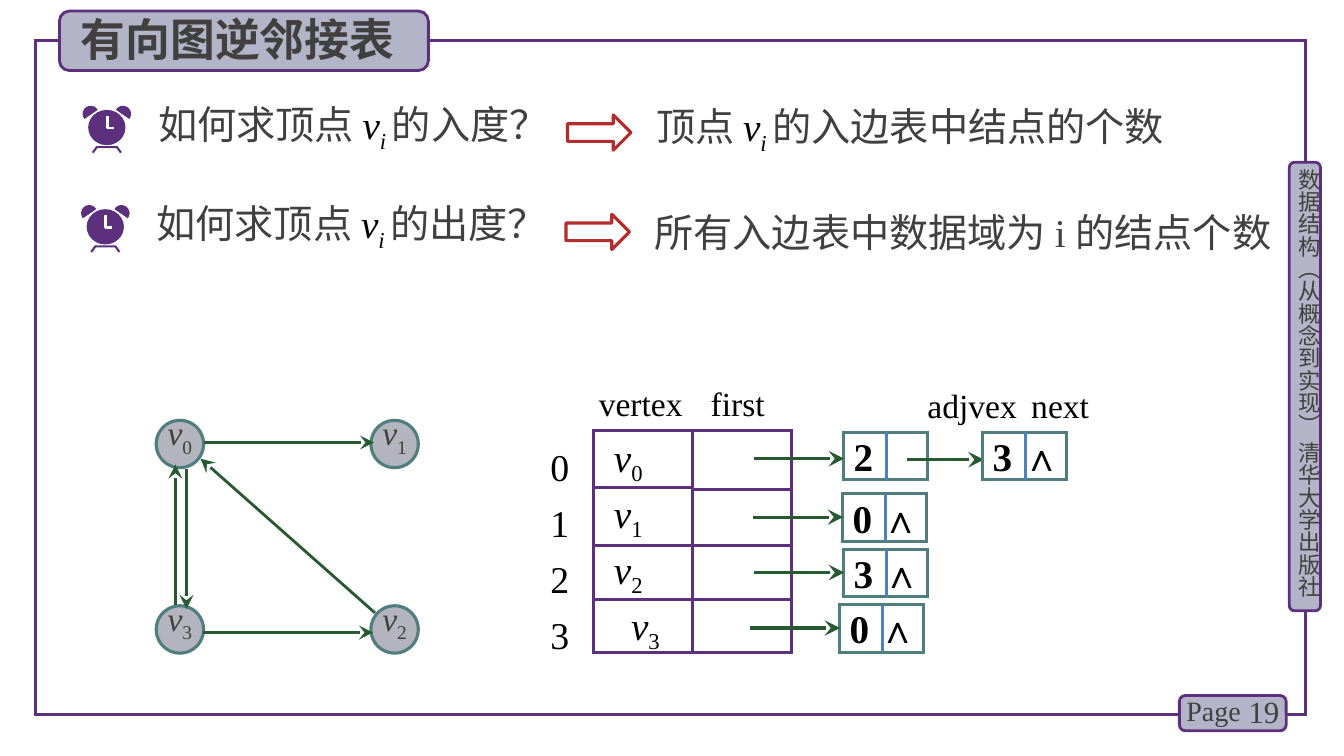
import math

import lxml.etree
import pptx
import pptx.dml.color
import pptx.enum.shapes
import pptx.enum.text
import pptx.oxml.ns
import pptx.util

COLOURS = {
    "purple": "5C307D", "lilac": "B4B4C8", "node": "B4B4BE", "teal": "507D7D",
    "green": "285A32", "blue": "4F81BD", "red": "B42D2D", "ink": "404040",
    "black": "000000", "white": "FFFFFF",
}
SERIF, SANS = "Times New Roman", "Noto Sans CJK SC"
CELL = 0.1  # inches: one grid column or row
KINDS = pptx.enum.shapes.MSO_SHAPE
ALIGN = pptx.enum.text.PP_ALIGN
ANCHOR = pptx.enum.text.MSO_ANCHOR
WIDE_INSETS = (1, 0.5, 1, 0.5)
NO_INSETS = (0, 0, 0, 0)


def cells(*counts):
    return [pptx.util.Inches(count * CELL) for count in counts]


def rgb(name):
    return pptx.dml.color.RGBColor.from_string(COLOURS[name])


def add_xml(parent, tag, **attributes):
    return lxml.etree.SubElement(parent, pptx.oxml.ns.qn(tag), attributes)


def vertex(label, colour="black"):
    """Return the spans of an italic v with a lowered label."""
    return [("v", {"italic": True, "colour": colour}),
            (label, {"italic": label.startswith("i"), "lowered": True, "colour": colour})]


def write(frame, paras, size=28, font=SERIF, colour="black", bold=False,
          align=ALIGN.LEFT, leading=None, last_indent=0):
    """Fill a text frame; each paragraph is a string or a list of (text, format) spans."""
    for position, spans in enumerate(paras):
        para = frame.paragraphs[0] if position == 0 else frame.add_paragraph()
        para.alignment = align
        if leading:
            para.line_spacing = pptx.util.Pt(leading)
        for text, look in [(spans, {})] if isinstance(spans, str) else spans:
            span = para.add_run()
            span.text = text
            span.font.size = pptx.util.Pt(size)
            span.font.name = font
            span.font.bold = bold
            span.font.italic = look.get("italic", False)
            span.font.color.rgb = rgb(look.get("colour", colour))
            properties = span._r.get_or_add_rPr()
            add_xml(properties, "a:ea", typeface=SANS)
            if look.get("lowered"):
                properties.set("baseline", "-25000")
    if last_indent:
        para._p.get_or_add_pPr().set("marL", str(cells(last_indent)[0]))


class Page:
    """Holds the line style and the current slide."""

    def __init__(self, deck):
        self.slide = deck.slides.add_slide(deck.slide_layouts[5])
        self.shapes = self.slide.shapes
        self.weight = 2.25

    def paint(self, shape, fill, line, weight=None):
        shape.shadow.inherit = False
        if fill:
            shape.fill.solid()
            shape.fill.fore_color.rgb = rgb(fill)
        else:
            shape.fill.background()
        if line:
            shape.line.color.rgb = rgb(line)
            shape.line.width = pptx.util.Pt(weight or self.weight)
        else:
            shape.line.fill.background()

    def prepare(self, frame, insets, anchor=ANCHOR.TOP):
        frame.word_wrap = True
        frame.auto_size = pptx.enum.text.MSO_AUTO_SIZE.NONE
        frame.vertical_anchor = anchor
        (frame.margin_left, frame.margin_top,
         frame.margin_right, frame.margin_bottom) = cells(*insets)

    def shape(self, kind, at, fill=None, line=None, weight=None, paras=(),
              insets=NO_INSETS, **look):
        shape = self.shapes.add_shape(kind, *cells(*at))
        self.paint(shape, fill, line, weight)
        if kind == KINDS.RECTANGLE:
            add_xml(shape.line._get_or_add_ln(), "a:miter", lim="800000")
        if paras:
            self.prepare(shape.text_frame, insets)
            write(shape.text_frame, paras, **look)

    def text(self, at, paras, insets=WIDE_INSETS, anchor=ANCHOR.TOP, vertical=False, **look):
        frame = self.shapes.add_textbox(*cells(*at)).text_frame
        self.prepare(frame, insets, anchor)
        if vertical:
            frame._txBody.bodyPr.set("vert", "eaVert")
        write(frame, paras, **look)

    def title(self, at, text, **look):
        box = self.shapes.title
        box.left, box.top, box.width, box.height = cells(*at)
        self.prepare(box.text_frame, WIDE_INSETS)
        write(box.text_frame, [text], **look)
        box.element.getparent().append(box.element)

    def line(self, start, end, colour, weight=None, arrow=False):
        line = self.shapes.add_connector(
            pptx.enum.shapes.MSO_CONNECTOR.STRAIGHT, *cells(*start, *end))
        line.line.color.rgb = rgb(colour)
        line.line.width = pptx.util.Pt(weight or self.weight)
        if arrow:
            add_xml(line.line._get_or_add_ln(), "a:tailEnd", type="stealth", w="lg", len="lg")
        add_xml(line._element.spPr, "a:effectLst")

    def outline(self, points, fill=None, line=None, weight=None):
        """Draw a filled polygon, or an open path when there is no fill."""
        start, *others = [cells(*point) for point in points]
        builder = self.shapes.build_freeform(*start)
        builder.add_line_segments(others, close=bool(fill))
        self.paint(builder.convert_to_shape(), fill, line, weight)

    def clock(self, x, y):
        """Draw an alarm clock whose face is centred at x, y."""
        for side in (-1, 1):
            arc = [math.radians(angle) for angle in range(141, 331, 9)]
            self.outline([(x + side * (1.6 - 0.8 * math.cos(a)), y + 0.8 * math.sin(a) - 1.35)
                          for a in arc], fill="purple")
        self.shape(KINDS.OVAL, (x - 1.85, y - 1.75, 3.7, 3.5), fill="purple")
        self.outline([(x + 0.05, y - 1.15), (x + 0.05, y + 0.05), (x + 0.7, y + 0.05)],
                     line="white", weight=2)
        self.outline([(x - 1.4, y + 2.5), (x - 1, y + 1.95), (x + 1, y + 1.95),
                      (x + 1.4, y + 2.5)], line="purple", weight=1.5)

    def node(self, x, y, text, divider=4.25):
        """Draw a list node: a box split into adjvex and next."""
        self.shape(KINDS.RECTANGLE, (x, y, 8.3, 4.7), line="teal", paras=[text],
                   insets=(1, 0, 0, 0), bold=True)
        self.line((x + divider, y), (x + divider, y + 4.7), "blue")

    def column(self, x, rules, paras=(), **look):
        """Draw one column of the vertex list, divided at the given heights."""
        self.shape(KINDS.RECTANGLE, (x, 42.7, 9.8, 22), line="purple", paras=paras,
                   insets=(2, 0, 0, 0), **look)
        for y in rules:
            self.line((x, y), (x + 9.8, y), "purple")


def main():
    deck = pptx.Presentation()
    deck.slide_width, deck.slide_height = cells(133.33, 75)
    page = Page(deck)

    page.shape(KINDS.RECTANGLE, (3.5, 4, 126, 66.9), line="purple")
    for badge in ((127.9, 16.1, 3.1, 44.5), (117, 69, 10.6, 3.5), (5.9, 1.1, 36.6, 5.9)):
        page.shape(KINDS.ROUNDED_RECTANGLE, badge, "lilac", "purple", 2)
    page.text((128.5, 16.7, 2.7, 44.9), ["数据结构（从概念到实现） 清华大学出版社"],
              insets=NO_INSETS, vertical=True, size=16, font=SANS, colour="ink")
    page.text((122, 68.6, 5.9, 4), ["19"], anchor=ANCHOR.MIDDLE, size=22,
              colour="ink", align=ALIGN.RIGHT)
    page.text((116.7, 68.3, 7.8, 4.4), ["Page"], size=20, colour="ink")
    page.title((7, 0.7, 34.6, 6.4), "有向图逆邻接表", size=32, font=SANS, colour="ink", bold=True)

    questions = [
        (0, 0, "的入度？", [("顶点 ", {}), *vertex("i "), ("的入边表中结点的个数", {})], 55.1),
        (-0.15, 9.85, "的出度？", "所有入边表中数据域为 i 的结点个数", 64.1),
    ]
    for shift, drop, asked, answer, width in questions:
        page.clock(10.6 + shift, 12.65 + drop)
        page.text((14.7 + shift, 10.1 + drop, 46.6, 5.7),
                  [[("如何求顶点 ", {}), *vertex("i "), (asked, {})]], colour="ink", leading=33.5)
        page.shape(KINDS.RIGHT_ARROW, (56.3 + shift, 11.4 + drop, 6.3, 3.5), line="red")
        page.text((64.1 + shift, 10.3 + drop, width, 5.7), [answer], colour="ink", leading=33.5)

    edges = [((20.2, 43.9), (37.1, 43.9)), ((18.5, 46.5), (18.5, 60.4)),
             ((37.2, 60.8), (19.9, 45.5)), ((20.1, 62.75), (37, 62.75)),
             ((17.4, 60), (17.4, 46.1))]
    for number, corner in enumerate([(15.5, 41.7), (36.8, 41.7), (36.8, 60.1), (15.5, 60.1)]):
        page.shape(KINDS.OVAL, (*corner, 4.7, 4.7), "node", "teal",
                   paras=[vertex(str(number), "ink")], size=24, align=ALIGN.CENTER, leading=22)
    for start, end in edges:
        page.line(start, end, "green", 2, arrow=True)

    for x, y, width, label in [(59.4, 37.5, 10.1, "vertex"), (70.5, 37.5, 8, "first"),
                               (92, 37.7, 10.5, "adjvex"), (102.3, 37.7, 10.5, "next")]:
        page.text((x, y, width, 5), [label], insets=(0, 0.5, 0, 0.5), size=24)
    page.text((54.6, 43, 4.3, 19.6), list("0123"), insets=NO_INSETS, size=27, leading=40)
    page.column(58.9, (48.4, 54.1, 59.5), [vertex(number) for number in "0123"],
                leading=40, last_indent=1.7)
    page.column(68.7, (48.6, 54.1, 59.5))

    for x, y, text, pointer in [(83.7, 42.9, "2", 45.5), (83.6, 49, "0 ∧", 51.3),
                                (83.7, 54.5, "3 ∧", 56.8), (83.3, 60, "0 ∧", 62.3)]:
        page.node(x, y, text)
        page.line((x - 8.85, pointer), (x + 0.05, pointer), "green", arrow=True)
    page.line((90, 45.6), (97.6, 45.6), "green", arrow=True)
    page.node(97.5, 42.9, "3 ∧")

    deck.save("out.pptx")


if __name__ == "__main__":
    main()
